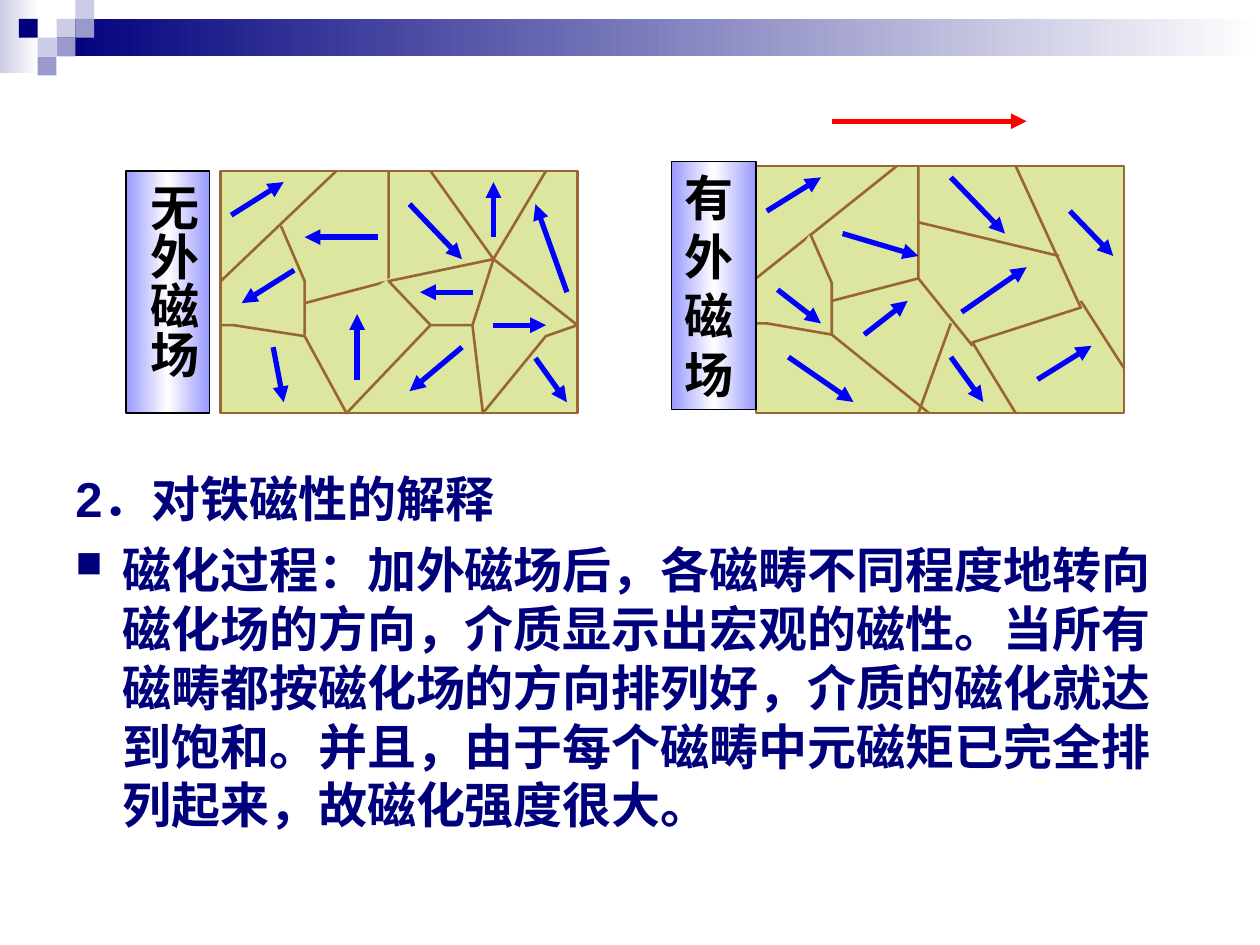
from copy import deepcopy

from lxml.etree import SubElement
from pptx import Presentation
from pptx.dml.color import RGBColor
from pptx.enum.shapes import MSO_CONNECTOR, MSO_SHAPE
from pptx.enum.text import MSO_ANCHOR, PP_ALIGN
from pptx.oxml.ns import qn
from pptx.util import Cm, Pt

NAVY, LILAC, VIOLET, WHITE = "00007D", "CCCCE6", "9999CC", "FFFFFF"
DOMAIN, WALL, MOMENT, FIELD = "DDE69E", "996633", "0000FF", "FF0000"
COLUMNS, ROWS = 34, 22
CHECKER = 0.38

CHECKERS = [
    (3, 1, LILAC), (4, 0, LILAC), (4, 1, VIOLET), (2, 2, LILAC),
    (1, 1, NAVY), (3, 2, VIOLET), (2, 3, VIOLET),
]

UNMAGNETIZED_WALLS = [
    [(0, 10), (11, 0)],
    [(5.75, 5), (8, 10), (8, 15), (1.2, 14), (0, 14)],
    [(8, 12), (16, 10), (16, 0)],
    [(8, 15), (12, 22), (20, 14), (24, 14), (25, 22), (31, 15), (34, 14), (26, 8), (31, 0)],
    [(20, 14), (16, 10), (26, 8), (20, 0)],
    [(24, 14), (26, 8)],
]
UNMAGNETIZED_MOMENTS = [
    [(1, 4), (6, 1)], [(7, 9), (2, 12)], [(15, 6), (8, 6)], [(5, 16), (6, 21)],
    [(13, 19), (13, 13)], [(18, 3), (23, 8)], [(24, 11), (19, 11)], [(23, 16), (18, 20)],
    [(33, 11), (30, 3)], [(26, 14), (31, 14)], [(30, 17), (33, 21)], [(26, 6), (26, 1)],
]
MAGNETIZED_WALLS = [
    [(0, 10), (13, 0)],
    [(5, 6), (7, 10.4), (7, 15), (1, 14), (0, 14)],
    [(7, 12), (15, 10), (15, 0)],
    [(24, 22), (20, 15.7), (30, 12.6), (24, 0)],
    [(34, 18), (30, 12)],
    [(16, 22), (7, 15)],
    [(28, 8), (15, 5)],
    [(20, 16), (15, 10)],
    [(18, 14), (15, 22)],
]
MAGNETIZED_MOMENTS = [
    [(1, 4), (6, 1)], [(2, 11), (6, 14)], [(8, 6), (15, 8)], [(3, 17), (9, 21)],
    [(10, 15), (14, 12)], [(18, 1), (23, 6)], [(19, 13), (25, 9)], [(29, 4), (33, 8)],
    [(26, 19), (31, 16)], [(18, 17), (21, 21)],
]


def color(value):
    return RGBColor.from_string(value)


class SlideBuilder:
    """Draws styled elements on the current slide."""

    def __init__(self, slide):
        self.slide = slide
        self.shapes = slide.shapes

    def outline(self, shape, line_color, width):
        shape.line.color.rgb = color(line_color)
        shape.line.width = Pt(width)

    def rectangle(self, box, fills, line_color=None, width=1.5):
        shape = self.shapes.add_shape(MSO_SHAPE.RECTANGLE, *map(Cm, box))
        shape.shadow.inherit = False
        if len(fills) == 1:
            shape.fill.solid()
            shape.fill.fore_color.rgb = color(fills[0])
        else:
            self.gradient(shape, fills)
        if line_color:
            self.outline(shape, line_color, width)
        else:
            shape.line.fill.background()
        return shape

    def gradient(self, shape, fills):
        shape.fill.gradient()
        shape.fill.gradient_angle = 0
        stop_list = shape._element.spPr.find(".//" + qn("a:gsLst"))
        while len(stop_list) < len(fills):
            stop_list.append(deepcopy(stop_list[0]))
        for index, (stop, value) in enumerate(zip(shape.fill.gradient_stops, fills)):
            stop.color.rgb = color(value)
            stop.position = index / (len(fills) - 1)

    def line(self, start, end, line_color, width, arrow=False):
        connector = self.shapes.add_connector(
            MSO_CONNECTOR.STRAIGHT, *map(Cm, (*start, *end)))
        self.outline(connector, line_color, width)
        if arrow:
            SubElement(connector.line._get_or_add_ln(), qn("a:tailEnd"), type="triangle")
        SubElement(connector._element.spPr, qn("a:effectLst"))

    def polyline(self, points):
        corners = [(Cm(x), Cm(y)) for x, y in points]
        builder = self.shapes.build_freeform(*corners[0])
        builder.add_line_segments(corners[1:], close=False)
        shape = builder.convert_to_shape()
        shape.shadow.inherit = False
        shape.fill.solid()
        shape.fill.fore_color.rgb = color(DOMAIN)
        self.outline(shape, WALL, 1.5)

    def panel(self, box, walls, moments, field=None):
        left, top, width, height = box

        def place(points):
            return [(left + x * width / COLUMNS, top + y * height / ROWS) for x, y in points]

        self.rectangle(box, [DOMAIN], WALL)
        for wall in map(place, walls):
            if len(wall) == 2:
                self.line(*wall, WALL, 1.5)
            else:
                self.polyline(wall)
        for moment in map(place, moments):
            self.line(*moment, MOMENT, 3, arrow=True)
        if field:
            self.line(*place(field), FIELD, 3, arrow=True)

    def label(self, box, text, vertical=False):
        shape = self.rectangle(box, ["9999FF", WHITE, "9999FF"], "000000", 0.75)
        frame = shape.text_frame
        frame.word_wrap = True
        frame.vertical_anchor = MSO_ANCHOR.TOP
        side, end = (0.13, 0.25) if vertical else (0.25, 0.13)
        frame.margin_left = frame.margin_right = Cm(side)
        frame.margin_top = frame.margin_bottom = Cm(end)
        if vertical:
            frame._txBody.bodyPr.set("vert", "eaVert")
        paragraph = frame.paragraphs[0]
        paragraph.text = text
        paragraph.alignment = PP_ALIGN.CENTER if vertical else PP_ALIGN.LEFT
        self.font(paragraph, "Times New Roman", "000000")

    def font(self, paragraph, name, value):
        paragraph.font.name = name
        paragraph.font.size = Pt(28)
        paragraph.font.bold = True
        paragraph.font.color.rgb = color(value)

    def body(self, box, heading, explanation):
        frame = self.shapes.add_textbox(*map(Cm, box)).text_frame
        frame.word_wrap = True
        first, second = frame.paragraphs[0], frame.add_paragraph()
        first.text, second.text = heading, explanation
        for paragraph in (first, second):
            properties = paragraph._p.get_or_add_pPr()
            properties.set("marL", str(Cm(0.95)))
            properties.set("indent", str(Cm(-0.95)))
        self.bullet(second)
        second.space_before = Pt(7)
        for paragraph in (first, second):
            self.font(paragraph, "Arial", NAVY)

    def bullet(self, paragraph):
        properties = paragraph._p.get_or_add_pPr()
        bullet_color = SubElement(properties, qn("a:buClr"))
        SubElement(bullet_color, qn("a:srgbClr"), val=NAVY)
        SubElement(properties, qn("a:buSzPct"), val="75000")
        SubElement(properties, qn("a:buChar"), char="■")


def main():
    presentation = Presentation()
    presentation.slide_width, presentation.slide_height = Cm(25.4), Cm(19.05)
    builder = SlideBuilder(presentation.slides.add_slide(presentation.slide_layouts[6]))
    builder.rectangle((0, 0, 0.79, 1.47), [LILAC, WHITE])
    builder.rectangle((1.14, 0.38, 24.26, 0.76), [NAVY, WHITE])
    for column, row, value in CHECKERS:
        builder.rectangle((column * CHECKER, row * CHECKER, CHECKER, CHECKER), [value])
    builder.body(
        (1.27, 9.32, 22.86, 8.2),
        "2．对铁磁性的解释",
        "磁化过程：加外磁场后，各磁畴不同程度地转向磁化场的方向，介质显示出宏观的磁性。"
        "当所有磁畴都按磁化场的方向排列好，介质的磁化就达到饱和。"
        "并且，由于每个磁畴中元磁矩已完全排列起来，故磁化强度很大。",
    )
    builder.panel((4.45, 3.45, 7.19, 4.88), UNMAGNETIZED_WALLS, UNMAGNETIZED_MOMENTS)
    builder.label((2.54, 3.45, 1.68, 4.88), "无外磁场", vertical=True)
    builder.panel((15.24, 3.35, 7.42, 4.98), MAGNETIZED_WALLS, MAGNETIZED_MOMENTS,
                  field=[(7, -4), (25, -4)])
    builder.label((13.54, 3.25, 1.7, 5), "有外磁场")
    presentation.save("out.pptx")


if __name__ == "__main__":
    main()
